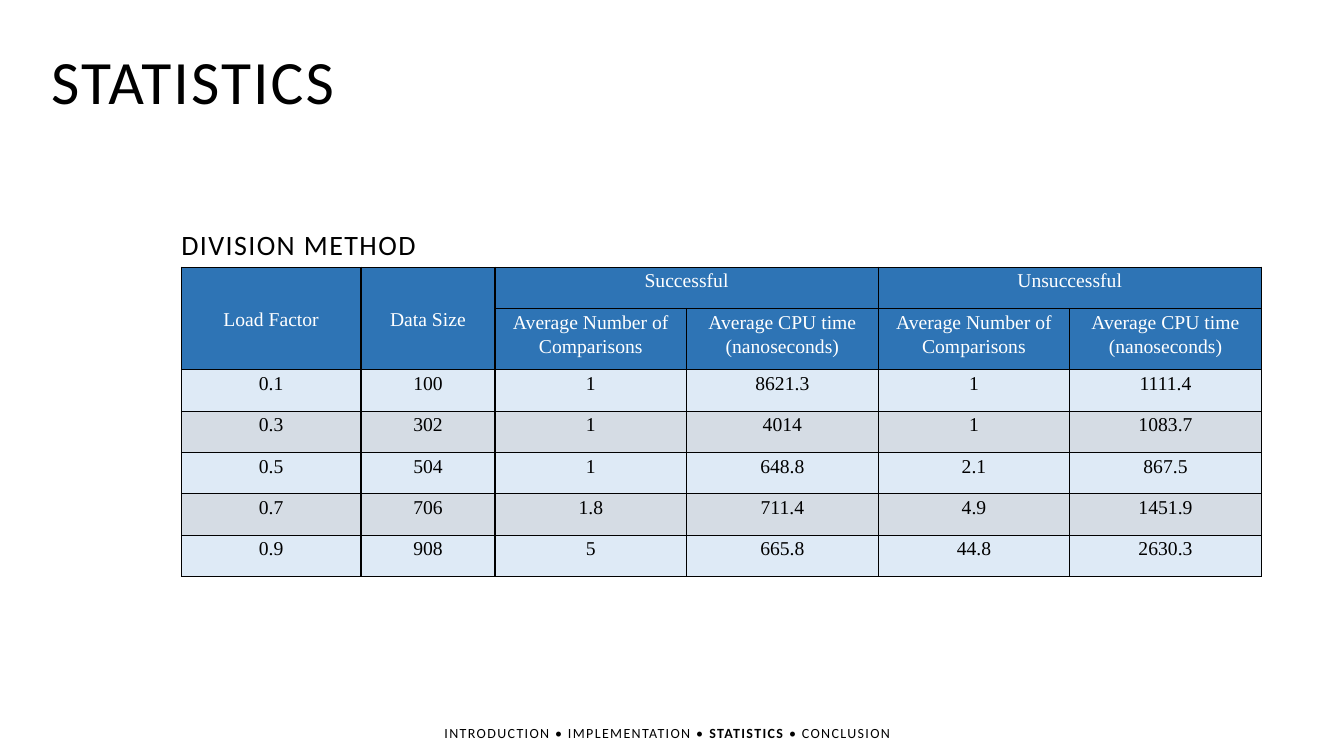
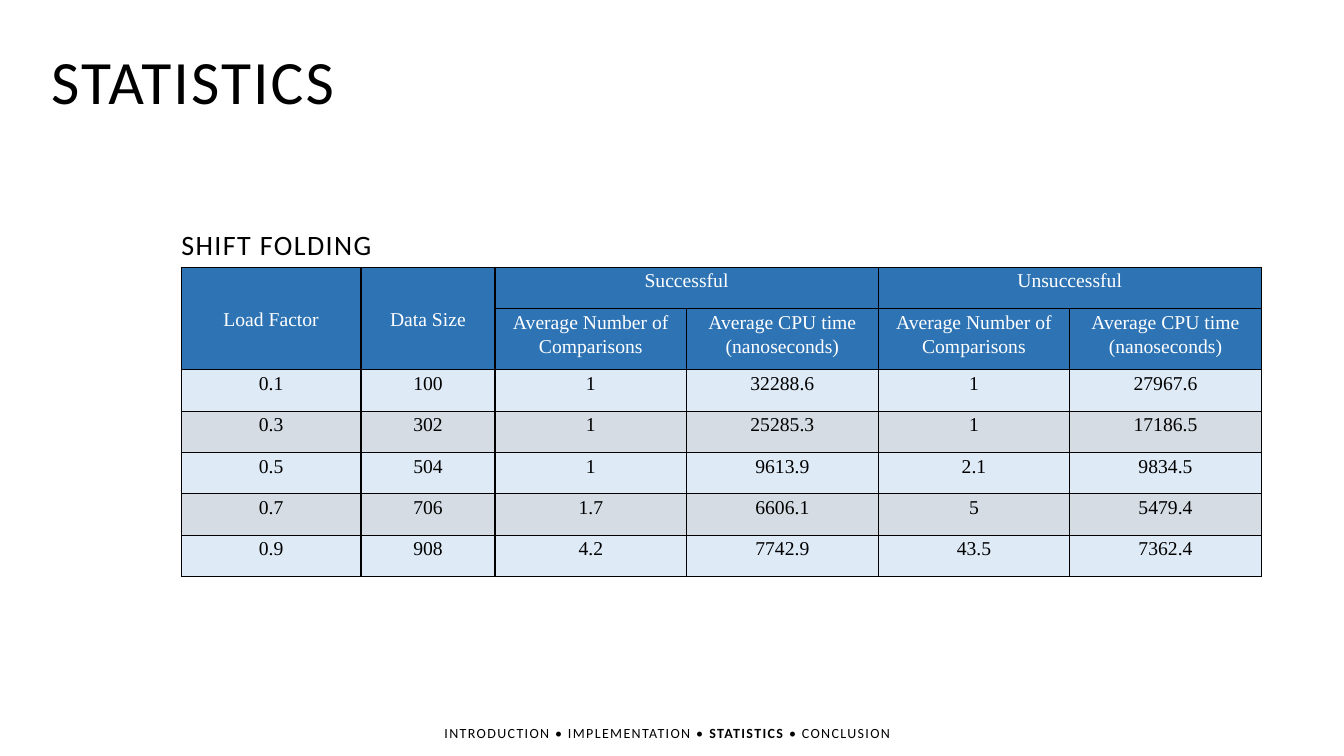
import pptx
import pptx.dml.color
import pptx.enum.text
import pptx.oxml
import pptx.oxml.ns
import pptx.util

Inches = pptx.util.Inches
Pt = pptx.util.Pt
HEX = {"ink": "000000", "paper": "FFFFFF", "head": "2E74B5", "odd": "DEEAF6", "even": "D5DCE4"}
TITLE = {"name": "Calibri", "size": Pt(44)}
LABEL = {"name": "Calibri", "size": Pt(20)}
FOOT = {"name": "Calibri", "size": Pt(10)}
CELL = {"name": "Times New Roman", "size": Pt(14)}
PARA = {"alignment": pptx.enum.text.PP_ALIGN.CENTER, "line_spacing": 1.15, "space_after": Pt(10)}
PAD = {"margin_left": Inches(0.07), "margin_right": Inches(0.07), "margin_top": 0, "margin_bottom": 0}
FRAME = {"word_wrap": False, "auto_size": pptx.enum.text.MSO_AUTO_SIZE.SHAPE_TO_FIT_TEXT}
PLAIN = {"first_row": False, "horz_banding": False}
PARTS = ["INTRODUCTION", "IMPLEMENTATION", "STATISTICS", "CONCLUSION"]
WIDTHS = [1.78, 1.33] + [1.9] * 4
HEIGHTS = [0.41, 0.61] + [0.41] * 5
PAIR = ["Average Number of Comparisons", "Average CPU time (nanoseconds)"]
HEADS = [["Load Factor", "Data Size", "Successful", "", "Unsuccessful", ""], ["", ""] + PAIR * 2]
SPANS = [(0, 0, 1, 0), (0, 1, 1, 1), (0, 2, 0, 3), (0, 4, 0, 5)]
LOADS = [("0.1", "100"), ("0.3", "302"), ("0.5", "504"), ("0.7", "706"), ("0.9", "908")]
SLIDES = [
    ("DIVISION METHOD", 2.53, [
        ("1", "8621.3", "1", "1111.4"),
        ("1", "4014", "1", "1083.7"),
        ("1", "648.8", "2.1", "867.5"),
        ("1.8", "711.4", "4.9", "1451.9"),
        ("5", "665.8", "44.8", "2630.3"),
    ]),
    ("SHIFT FOLDING", 2.1, [
        ("1", "32288.6", "1", "27967.6"),
        ("1", "25285.3", "1", "17186.5"),
        ("1", "9613.9", "2.1", "9834.5"),
        ("1.7", "6606.1", "5", "5479.4"),
        ("4.2", "7742.9", "43.5", "7362.4"),
    ]),
]


def apply(target, values):
    """Set each named attribute on the target."""
    for name, value in values.items():
        setattr(target, name, value)


def tint(key):
    """Return the named colour."""
    return pptx.dml.color.RGBColor.from_string(HEX[key])


def write(para, text, font, color="ink", space=0, bold=False):
    """Add one styled run, with letter spacing in points."""
    run = para.add_run()
    run.text = text
    apply(run.font, {**font, "bold": bold})
    run.font.color.rgb = tint(color)
    if space:
        run.font._element.set("spc", str(int(space * 100)))


def label(slide, box, parts, font, space):
    """Place one line of text made of (text, bold) parts."""
    frame = slide.shapes.add_textbox(*map(Inches, box)).text_frame
    apply(frame, FRAME)
    for text, bold in parts:
        write(frame.paragraphs[0], text, font, space=space, bold=bold)


def footer(slide, box, current):
    """Place the section trail with the current part in bold."""
    trail = []
    for part in PARTS:
        if trail:
            trail.append((" • ", False))
        trail.append((part, part == current))
    label(slide, box, trail, FOOT, 1)


def border(cell):
    """Draw a thin line on every side of a cell."""
    props = cell._tc.get_or_add_tcPr()
    space = pptx.oxml.ns.nsdecls("a")
    for side in ("lnL", "lnR", "lnT", "lnB"):
        props.append(pptx.oxml.parse_xml(
            f'<a:{side} {space} w="{Pt(1)}"><a:solidFill>'
            f'<a:srgbClr val="{HEX["ink"]}"/></a:solidFill></a:{side}>'))


def fill(cell, text, back, color):
    """Style a table cell and write its text."""
    border(cell)
    apply(cell, PAD)
    cell.fill.solid()
    cell.fill.fore_color.rgb = tint(back)
    para = cell.text_frame.paragraphs[0]
    apply(para, PARA)
    if text:
        write(para, text, CELL, color)


def grid(slide, left, top, data):
    """Place the table of results with its two header rows."""
    rows = HEADS + [[*load, *row] for load, row in zip(LOADS, data)]
    box = map(Inches, (left, top, sum(WIDTHS), sum(HEIGHTS)))
    table = slide.shapes.add_table(len(rows), len(WIDTHS), *box).table
    apply(table, PLAIN)
    for col, width in zip(table.columns, WIDTHS):
        col.width = Inches(width)
    for r, row in enumerate(rows):
        table.rows[r].height = Inches(HEIGHTS[r])
        head = r < len(HEADS)
        back = "head" if head else ("odd", "even")[r % 2]
        for c, text in enumerate(row):
            fill(table.cell(r, c), text, back, "paper" if head else "ink")
    for r, c, last, end in SPANS:
        cell = table.cell(r, c)
        cell.merge(table.cell(last, end))
        if last > r:
            cell.vertical_anchor = pptx.enum.text.MSO_ANCHOR.MIDDLE
            cell.text_frame.paragraphs[0].space_after = 0


def result(deck, name, width, data):
    """Add one slide of results for a hashing method."""
    slide = deck.slides.add_slide(deck.slide_layouts[6])
    label(slide, (0.41, 0.38, 3.06, 0.84), [("STATISTICS", False)], TITLE, 1.5)
    footer(slide, (4.31, 7.14, 4.71, 0.27), "STATISTICS")
    label(slide, (1.7, 2.21, width, 0.44), [(name, False)], LABEL, 1)
    grid(slide, 1.8, 2.65, data)


def main():
    """Build and save the deck."""
    deck = pptx.Presentation()
    apply(deck, {"slide_width": Inches(13.33), "slide_height": Inches(7.5)})
    for name, width, data in SLIDES:
        result(deck, name, width, data)
    deck.save("out.pptx")


if __name__ == "__main__":
    main()
